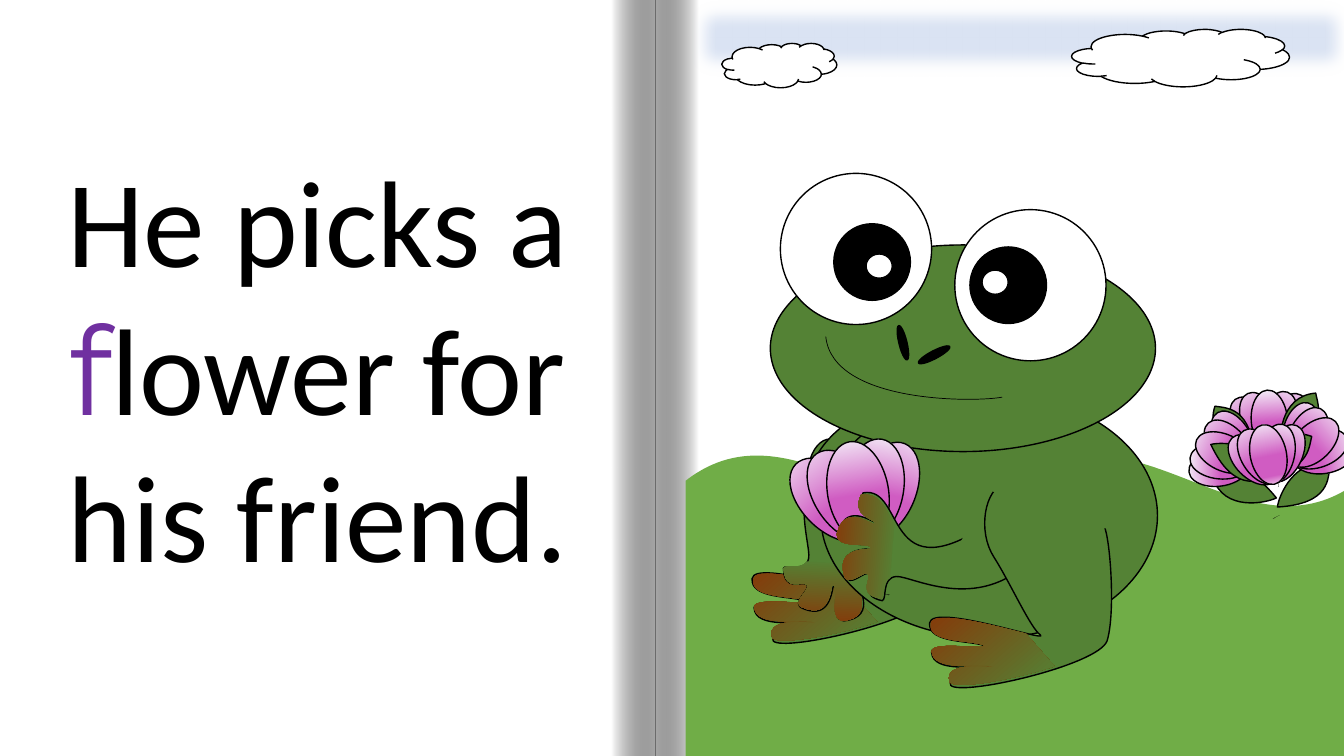
from math import cos, radians, sin

from lxml.etree import SubElement
from pptx import Presentation
from pptx.dml.color import RGBColor
from pptx.enum.shapes import MSO_SHAPE
from pptx.enum.text import MSO_ANCHOR, MSO_AUTO_SIZE, PP_ALIGN
from pptx.oxml.ns import qn
from pptx.util import Inches, Pt

WHITE = RGBColor(0xFF, 0xFF, 0xFF)
BLACK = RGBColor(0, 0, 0)
PURPLE = RGBColor(0x70, 0x30, 0xA0)
SKY = RGBColor(0xDA, 0xE3, 0xF3)
GRASS = RGBColor(0x70, 0xAD, 0x47)
FROG = RGBColor(0x54, 0x82, 0x35)
BROWN = RGBColor(0x84, 0x3C, 0x0B)
PINK = RGBColor(0xD0, 0x5C, 0xC2)
PALE = RGBColor(0xF6, 0xF8, 0xFC)

# Gradients: (position %, colour, opacity %)
FOLD = [(0, WHITE, 100), (100, BLACK, 34)]
PETAL = [(0, PALE, 100), (53, PINK, 100), (79, PINK, 100), (100, WHITE, 100)]
TOES = [(0, BROWN, 100), (100, FROG, 100)]
FINGERS = [(1, FROG, 100), (100, BROWN, 100)]

# Petals of an upright blossom: (dx, dy, turn) from its middle petal
PETALS = [(.16, .02, 35.3), (-.16, .02, -32.7), (-.09, 0, -20.1),
          (.08, .01, 23.5), (0, 0, 0)]

# Outlines: a start point, then curves (6 numbers) or straight lines (2)
BACK_LEAVES = [
    [(12.67, 5.03), (13.2, 5, 13.17, 4.74, 13.19, 4.62),
     (12.85, 4.52, 12.68, 4.92, 12.67, 5.03)],
    [(12.66, 4.94), (12.33, 4.53, 12.13, 4.69, 12.03, 4.74),
     (12.14, 5.08, 12.56, 4.99, 12.66, 4.94)]]
RIGHT_LEAVES = [
    [(12.71, 4.47), (13.19, 4.25, 13.07, 4.02, 13.05, 3.9),
     (12.69, 3.93, 12.68, 4.36, 12.71, 4.47)]]
LEFT_LEAVES = [
    [(12.44, 4.56), (12.42, 4.03, 12.16, 4.05, 12.05, 4.03),
     (11.94, 4.36, 12.33, 4.54, 12.44, 4.56)]]
FRONT_LEAVES = [
    [(12.01, 4.41), (12.23, 4.88, 12.47, 4.77, 12.58, 4.75),
     (12.56, 4.39, 12.12, 4.38, 12.01, 4.41)],
    [(12.46, 4.71), (12.99, 4.7, 12.98, 4.44, 13.01, 4.33),
     (12.67, 4.2, 12.48, 4.6, 12.46, 4.71)]]
LEG = [(8.1, 5.09), (7.93, 4.83, 8.01, 4.41, 8.2, 4.36),
       (8.38, 4.31, 9.13, 4.6, 9.2, 4.8), (9.26, 4.99, 9.3, 5.67, 9.22, 5.92),
       (9.13, 6.16, 7.78, 6.47, 7.67, 6.36), (7.58, 6.1, 8.23, 6.23, 8.09, 6.19),
       (7.96, 6.15, 7.49, 6.25, 7.48, 6.03), (7.48, 5.91, 8.13, 6.03, 8.01, 5.97),
       (7.89, 5.91, 7.44, 5.95, 7.46, 5.74), (7.49, 5.54, 8.65, 5.94, 8.56, 5.86),
       (8.46, 5.79, 8.27, 5.36, 8.1, 5.09)]
FOOT = [(7.58, 5.69), (7.51, 5.69, 7.47, 5.71, 7.47, 5.75),
        (7.44, 5.94, 7.87, 5.91, 7.99, 5.96), (8.1, 6.02, 7.48, 5.91, 7.48, 6.02),
        (7.49, 6.23, 7.94, 6.14, 8.07, 6.17), (8.2, 6.21, 7.57, 6.08, 7.66, 6.33),
        (7.73, 6.4, 8.26, 6.31, 8.67, 6.18), (8.7, 6.17), (8.42, 5.85),
        (8.39, 5.84), (8.19, 5.79, 7.78, 5.68, 7.58, 5.69)]
FAR_ARM = [(8.37, 4.22), (8.99, 3.75, 9.37, 3.86, 9.42, 3.93),
           (9.48, 4, 8.8, 4.31, 8.7, 4.64), (7.8, 5.65, 8.94, 5.55, 8.8, 5.97),
           (8.58, 6.04, 8.58, 5.81, 8.54, 5.8), (8.47, 5.78, 8.73, 6.12, 8.37, 6.16),
           (8.21, 6.14, 8.35, 5.81, 8.27, 5.81), (8.25, 5.8, 8.26, 6.16, 7.97, 6.04),
           (7.82, 5.99, 8.06, 5.84, 8, 5.8), (7.95, 5.76, 7.78, 5.88, 7.77, 5.64),
           (7.78, 5.59, 7.99, 5.69, 8.02, 5.54), (8.05, 5.39, 7.75, 4.69, 8.37, 4.22)]
FAR_HAND = [(8.54, 5.6), (8, 5.57), (7.94, 5.66, 7.78, 5.59, 7.77, 5.64),
            (7.79, 5.88, 7.95, 5.76, 8, 5.8), (8.06, 5.84, 7.82, 5.99, 7.97, 6.03),
            (8.25, 6.15, 8.24, 5.79, 8.26, 5.8), (8.34, 5.81, 8.2, 6.13, 8.36, 6.16),
            (8.71, 6.12, 8.45, 5.77, 8.52, 5.79), (8.56, 5.81, 8.56, 6.03, 8.78, 5.96),
            (8.82, 5.81, 8.7, 5.72, 8.57, 5.63)]
NEAR_ARM = [(10.24, 5.54), (10.78, 4.99, 10.72, 4.59, 10.66, 4.53),
            (10.6, 4.47, 10.21, 5.1, 9.86, 5.16), (8.75, 5.93, 8.99, 4.81, 8.56, 4.89),
            (8.46, 5.1, 8.68, 5.13, 8.69, 5.17), (8.71, 5.24, 8.4, 4.94, 8.31, 5.29),
            (8.32, 5.46, 8.66, 5.36, 8.65, 5.44), (8.66, 5.46, 8.3, 5.4, 8.39, 5.7),
            (8.41, 5.86, 8.59, 5.64, 8.62, 5.7), (8.66, 5.76, 8.52, 5.91, 8.75, 5.96),
            (8.8, 5.95, 8.74, 5.73, 8.89, 5.72), (9.04, 5.71, 9.7, 6.1, 10.24, 5.54)]
NEAR_HAND = [(8.87, 5.19), (8.83, 5.73), (8.74, 5.78, 8.78, 5.94, 8.74, 5.94),
             (8.5, 5.9, 8.64, 5.76, 8.61, 5.7), (8.58, 5.64, 8.4, 5.85, 8.37, 5.7),
             (8.29, 5.41, 8.65, 5.46, 8.64, 5.44), (8.64, 5.37, 8.3, 5.46, 8.3, 5.3),
             (8.38, 4.96, 8.69, 5.25, 8.68, 5.19), (8.67, 5.15, 8.44, 5.12, 8.54, 4.91),
             (8.71, 4.88, 8.77, 5.02, 8.85, 5.16)]
MOUTH = [(8.19, 3.34), (8.26, 4.01, 9.69, 3.99, 9.94, 3.94)]


class BookPage:
    def __init__(self, prs):
        self.s = prs.slides.add_slide(prs.slide_layouts[6])
        self.s.background.fill.solid()
        self.s.background.fill.fore_color.rgb = BLACK

    def paint(self, sp, fill, line=None, width=1, angle=90):
        sp.shadow.inherit = False
        if fill is None:
            sp.fill.background()
        elif isinstance(fill, list):
            sp.fill.gradient()
            sp.fill.gradient_angle = -angle % 360
            stops = sp._element.spPr.find(qn("a:gradFill")).find(qn("a:gsLst"))
            stops.clear()
            for pos, color, alpha in fill:
                gs = SubElement(stops, qn("a:gs"), pos=str(pos * 1000))
                clr = SubElement(gs, qn("a:srgbClr"), val=str(color))
                if alpha < 100:
                    SubElement(clr, qn("a:alpha"), val=str(alpha * 1000))
        else:
            sp.fill.solid()
            sp.fill.fore_color.rgb = fill
        if line is None:
            sp.line.fill.background()
        else:
            sp.line.color.rgb = line
            sp.line.width = Pt(width)
        return sp

    def shape(self, kind, x, y, w, h, fill, line=None, rot=0, angle=90):
        sp = self.s.shapes.add_shape(kind, Inches(x), Inches(y), Inches(w), Inches(h))
        sp.rotation = rot % 360
        return self.paint(sp, fill, line, angle=angle)

    def ellipse(self, x, y, w, h, fill, line=BLACK, rot=0):
        return self.shape(MSO_SHAPE.OVAL, x, y, w, h, fill, line, rot)

    def outline(self, outline, fill, line=BLACK, width=1, angle=90, dx=0, dy=0, close=True):
        ends = [(Inches(seg[-2] + dx), Inches(seg[-1] + dy)) for seg in outline]
        builder = self.s.shapes.build_freeform(*ends[0])
        builder.add_line_segments(ends[1:], close=close)
        sp = builder.convert_to_shape()
        # Bend the straight segments that have control points
        for node, seg in zip(list(sp._element.iter(qn("a:lnTo"))), outline[1:]):
            if len(seg) == 6:
                node.clear()
                node.tag = qn("a:cubicBezTo")
                for x, y in zip(seg[::2], seg[1::2]):
                    SubElement(node, qn("a:pt"), x=str(Inches(x + dx) - sp.left),
                               y=str(Inches(y + dy) - sp.top))
        return self.paint(sp, fill, line, width, angle)

    def blossom(self, cx, cy, rot, leaves=(), scale=1, mirror=1):
        def place(dx, dy):
            dx, dy, a = dx * scale * mirror, dy * scale, radians(rot)
            return cx + dx * cos(a) - dy * sin(a), cy + dx * sin(a) + dy * cos(a)

        for leaf in leaves:
            self.outline(leaf, FROG)
        w, h = .13 * scale, .6 * scale
        x, y = place(-.01, .61)
        stem = self.shape(MSO_SHAPE.ARC, x - w / 2, y - h / 2, w, h, BLACK, BLACK, rot)
        for i, degrees in enumerate((162, 163.48) if mirror == 1 else (16.52, 18)):
            stem.adjustments[i] = degrees * .6
        w = .36 * scale
        for dx, dy, turn in PETALS:
            x, y = place(dx, dy)
            self.ellipse(x - w / 2, y - h / 2, w, h, PETAL, rot=rot + turn * mirror)

    def leg(self, dx=0, dy=0):
        self.outline(LEG, FROG, dx=dx, dy=dy)
        self.outline(FOOT, TOES, None, angle=48.9, dx=dx, dy=dy)

    def text(self, x, y, w, h, runs, size):
        tf = self.s.shapes.add_textbox(Inches(x), Inches(y), Inches(w), Inches(h)).text_frame
        tf.word_wrap = True
        tf.auto_size = MSO_AUTO_SIZE.SHAPE_TO_FIT_TEXT
        tf.vertical_anchor = MSO_ANCHOR.TOP
        p = tf.paragraphs[0]
        p.alignment = PP_ALIGN.CENTER
        for words, font, color in runs:
            r = p.add_run()
            r.text = words
            r.font.size, r.font.name = Pt(size), font
            r.font.color.rgb = color


def main():
    prs = Presentation()
    prs.slide_width, prs.slide_height = Inches(13.33), Inches(7.5)
    page = BookPage(prs)

    # Open book and its words
    page.shape(MSO_SHAPE.RECTANGLE, -.01, 0, 13.47, 7.5, WHITE)
    for x, angle in ((6.5, 180), (6.07, 0)):
        page.shape(MSO_SHAPE.RECTANGLE, x, 0, .43, 7.5, FOLD, angle=angle)
    page.text(.01, 1.38, 6.28, 4.54, [("He picks a ", "Calibri", BLACK),
                                      ("f", "Montserrat", PURPLE),
                                      ("lower for his friend.", "Calibri", BLACK)], 88)

    # Sky, clouds and hill
    sky = page.shape(MSO_SHAPE.RECTANGLE, 6.79, -.05, 6.67, .85, SKY, SKY)
    effects = sky._element.spPr.find(qn("a:effectLst"))
    SubElement(effects, qn("a:softEdge"), rad=str(Pt(12.5)))
    page.shape(MSO_SHAPE.CLOUD, 7.16, .43, 1.14, .44, WHITE, BLACK)
    page.shape(MSO_SHAPE.CLOUD, 10.63, .29, 2.16, .57, WHITE, BLACK)
    page.shape(MSO_SHAPE.DOUBLE_WAVE, 6.8, 4.51, 6.68, 4.16, GRASS)

    # Flower bush
    page.blossom(12.59, 4.17, -4.3, BACK_LEAVES)
    page.blossom(13.03, 4.39, 45.9, RIGHT_LEAVES)
    page.blossom(12.14, 4.49, -64.8, LEFT_LEAVES)
    page.blossom(12.58, 4.51, -11.5, FRONT_LEAVES)

    # Far limbs and body
    page.leg()
    page.outline(FAR_ARM, FROG)
    page.ellipse(8.42, 4.25, .61, .99, FROG, None, 1)
    page.outline(FAR_HAND, FINGERS, None, angle=92.6)
    page.ellipse(8.14, 3.9, 3.34, 2.43, FROG)

    # Head
    page.ellipse(7.64, 2.43, 3.82, 2.05, FROG)
    for x, y in ((7.74, 1.72), (9.47, 2.08)):
        page.ellipse(x, y, 1.5, 1.5, WHITE)
    page.ellipse(9.09, 3.48, .35, .08, BLACK, rot=332.4)
    page.ellipse(8.78, 3.36, .35, .08, BLACK, rot=76.3)
    page.outline(MOUTH, None, width=.5, close=False)
    for x, y, glint_x, glint_y in ((9.62, 2.45, 9.74, 2.68), (8.27, 2.22, 8.59, 2.52)):
        page.ellipse(x, y, .76, .76, BLACK)
        page.ellipse(glint_x, glint_y, .26, .24, WHITE)

    # Picked flower and near limbs
    page.blossom(8.51, 4.88, -9.9, scale=1.68, mirror=-1)
    page.outline(NEAR_ARM, FROG)
    page.outline(NEAR_HAND, FINGERS, None, angle=184.6)
    for x, y in ((9.98, 4.1), (9.89, 4.14)):
        page.ellipse(x, y, .61, 1.82, FROG, None, 49.3)
    page.leg(1.76, .44)
    page.ellipse(10.28, 4.24, .32, 1.46, FROG, None, 288.1)

    prs.save("out.pptx")


if __name__ == "__main__":
    main()
